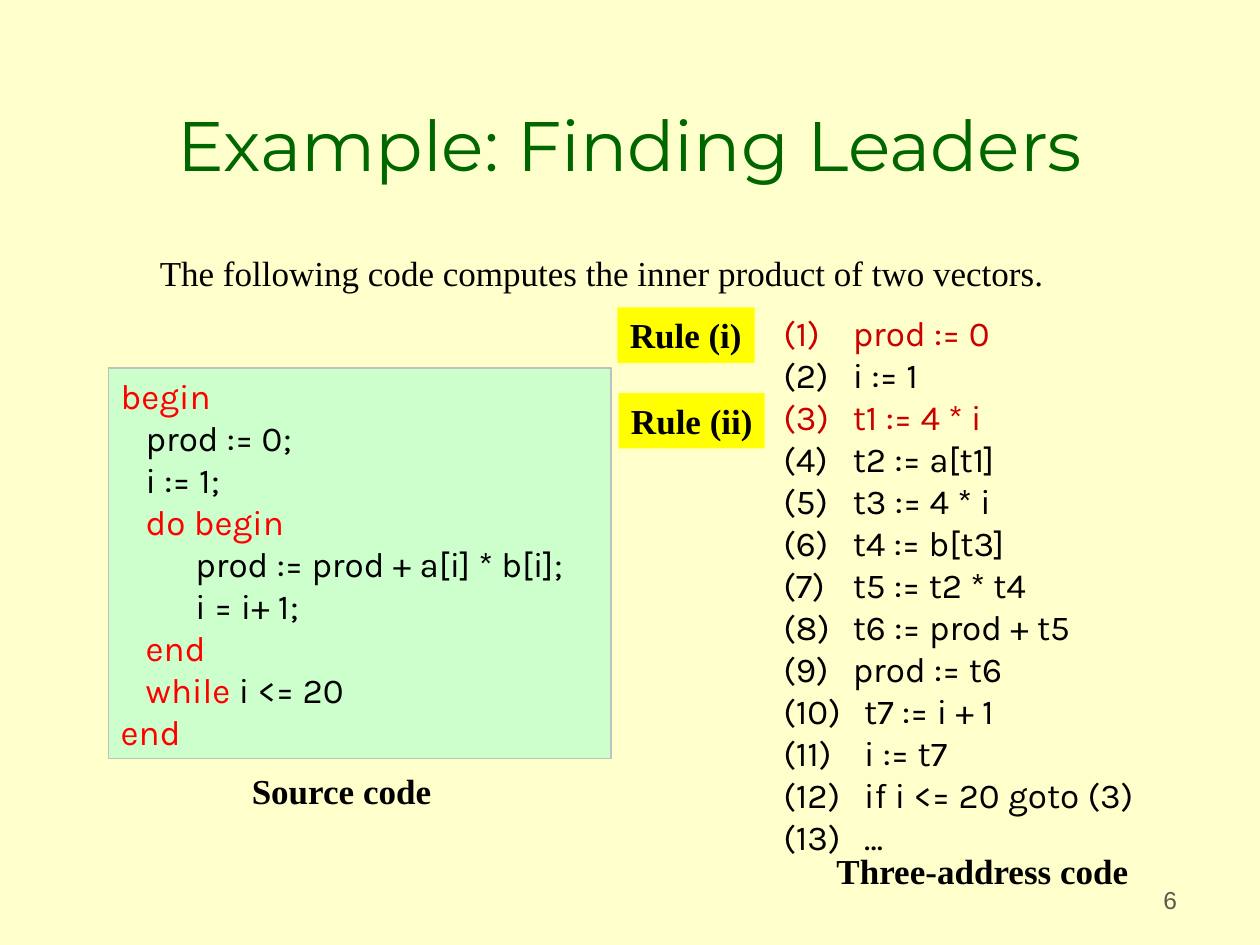
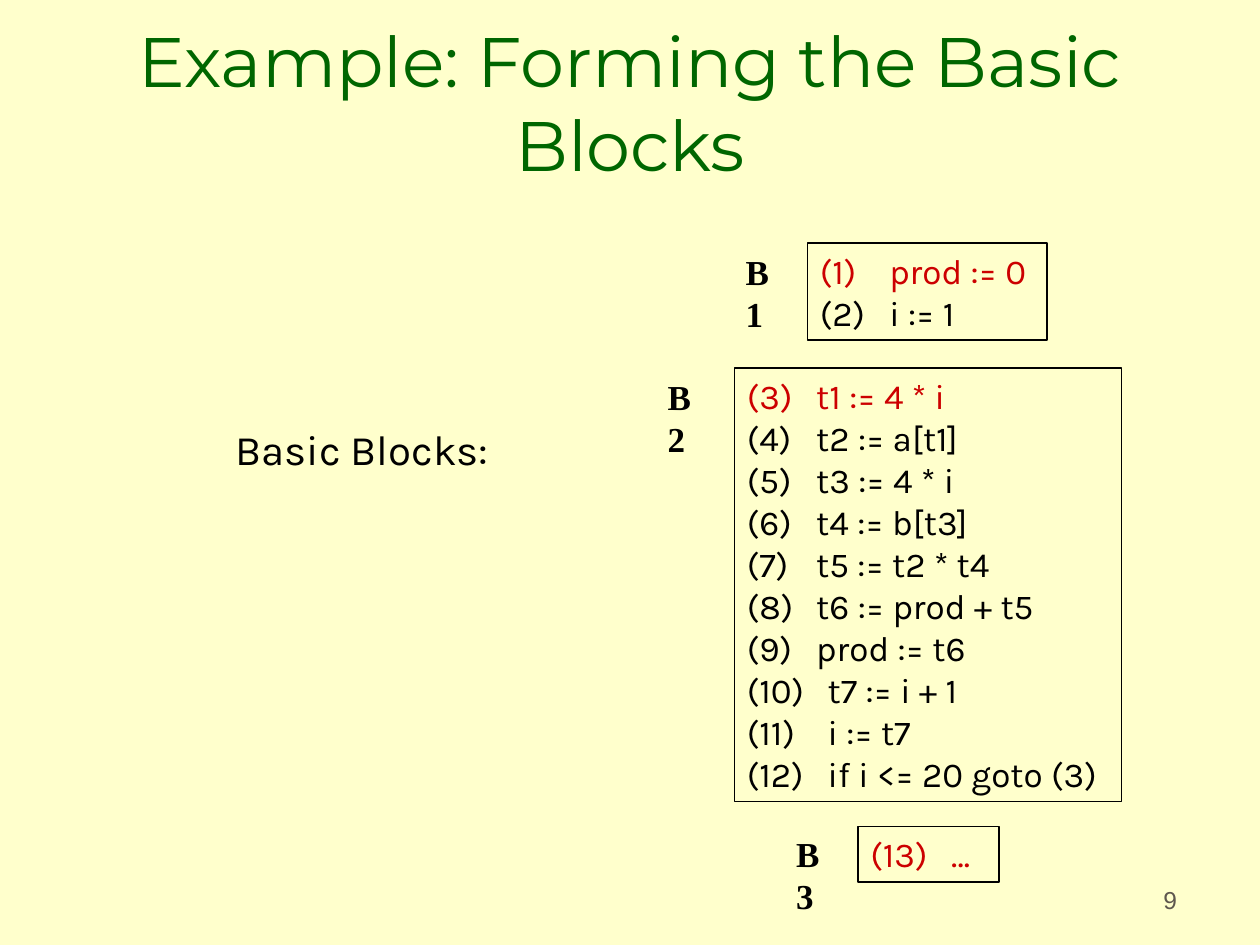
from pptx import Presentation
from pptx.dml.color import RGBColor
from pptx.enum.shapes import MSO_SHAPE
from pptx.enum.text import MSO_ANCHOR, MSO_AUTO_SIZE, PP_ALIGN
from pptx.oxml.ns import qn
from pptx.util import Inches, Pt
from lxml import etree

RECT = MSO_SHAPE.RECTANGLE
TOP, BOTTOM = MSO_ANCHOR.TOP, MSO_ANCHOR.BOTTOM
NO_AUTOFIT = MSO_AUTO_SIZE.NONE
LEFT, CENTER, RIGHT = PP_ALIGN.LEFT, PP_ALIGN.CENTER, PP_ALIGN.RIGHT

TITLE_FONT, CODE_FONT, LABEL_FONT, NUMBER_FONT = "Montserrat", "Karla", "Times New Roman", "Arial"
CREAM, MINT, YELLOW = "FFFFCC", "CCFFCC", "FFFF00"
GREEN, BLACK, GRAY, SILVER = "006600", "000000", "5E574E", "C0C0C0"
LEADER_RED, KEYWORD_RED = "CC0000", "FF0000"

INSTRUCTIONS = [
    "prod := 0", "i := 1", "t1 := 4 * i", "t2 := a[t1]", "t3 := 4 * i",
    "t4 := b[t3]", "t5 := t2 * t4", "t6 := prod + t5", "prod := t6",
    "t7 := i + 1", "i := t7", "if i <= 20 goto (3)", "…",
]
SOURCE_CODE = [
    [("begin", KEYWORD_RED)],
    [("   prod := 0;", BLACK)],
    [("   i := 1;", BLACK)],
    [("   do begin", KEYWORD_RED)],
    [("         prod := prod + a[i] * b[i];", BLACK)],
    [("         i = i+ 1;", BLACK)],
    [("   end", KEYWORD_RED)],
    [("   while", KEYWORD_RED), (" i <= 20", BLACK)],
    [("end", KEYWORD_RED)],
]
BLOCKS = [
    ("B1", 1, 2, (6.41, 1.93, 1.9, 0.77), (5.82, 1.94)),
    ("B2", 3, 12, (5.83, 2.92, 3.07, 3.44), (5.2, 2.93)),
    ("B3", 13, 13, (6.81, 6.56, 1.12, 0.44), (6.22, 6.56)),
]


def rgb(color):
    return RGBColor.from_string(color)


def add_text(p, text, size=20, font=CODE_FONT, color=BLACK, bold=False, align=LEFT):
    p.alignment = align
    r = p.add_run()
    r.text = text
    r.font.size = Pt(size)
    r.font.name = font
    r.font.bold = bold
    r.font.color.rgb = rgb(color)


def add_tab_stop(p, position):
    tabs = etree.SubElement(p._p.get_or_add_pPr(), qn("a:tabLst"))
    etree.SubElement(tabs, qn("a:tab"), pos=str(Inches(position)), algn="l")


def add_label(slide, box, text, anchor=TOP, **fmt):
    tf = slide.shapes.add_textbox(*map(Inches, box)).text_frame
    tf.word_wrap = False
    tf.vertical_anchor = anchor
    add_text(tf.paragraphs[0], text, **fmt)


def add_box(slide, box, fill, line=None):
    sp = slide.shapes.add_shape(RECT, *map(Inches, box))
    sp.shadow.inherit = False
    sp.fill.solid()
    sp.fill.fore_color.rgb = rgb(fill)
    if line:
        sp.line.color.rgb = rgb(line)
        sp.line.width = Pt(0.75)
    else:
        sp.line.fill.background()
    tf = sp.text_frame
    tf.vertical_anchor = TOP
    return tf


def next_paragraph(tf, index):
    return tf.add_paragraph() if index else tf.paragraphs[0]


def add_source_code(slide, box):
    tf = add_box(slide, box, MINT, SILVER)
    tf.word_wrap = True
    for i, parts in enumerate(SOURCE_CODE):
        p = next_paragraph(tf, i)
        for text, color in parts:
            add_text(p, text, color=color)


def add_instructions(slide, box, first, last, leaders, line=None):
    tf = add_box(slide, box, CREAM, line)
    tf.word_wrap = True
    for i, number in enumerate(range(first, last + 1)):
        p = next_paragraph(tf, i)
        add_tab_stop(p, 0.46 + 0.09 * len(str(number)))
        add_text(p, f"({number})\t{INSTRUCTIONS[number - 1]}",
                 color=LEADER_RED if number in leaders else BLACK)


def add_rule(slide, box, text):
    tf = add_box(slide, box, YELLOW)
    tf.word_wrap = False
    add_text(tf.paragraphs[0], text, font=LABEL_FONT, bold=True)


def add_slide(prs, title, number):
    slide = prs.slides.add_slide(prs.slide_layouts[5])
    sp = slide.shapes.title
    sp.left, sp.top, sp.width, sp.height = map(Inches, (0.75, 0.25, 8.5, 1.25))
    tf = sp.text_frame
    tf.auto_size = NO_AUTOFIT
    tf.vertical_anchor = BOTTOM
    tf.margin_bottom = Inches(0.03)
    add_text(tf.paragraphs[0], title, size=40, font=TITLE_FONT, color=GREEN, align=CENTER)
    add_label(slide, (7.36, 6.81, 2.08, 0.5), number, anchor=BOTTOM,
              size=14, font=NUMBER_FONT, color=GRAY, align=RIGHT)
    return slide


def build_leaders(prs):
    slide = add_slide(prs, "Example: Finding Leaders", "6")
    add_label(slide, (1.17, 1.95, 7.27, 0.44),
              "The following code computes the inner product of two vectors.", font=LABEL_FONT)
    add_instructions(slide, (6.12, 2.42, 3.07, 4.44), 1, 13, leaders={1, 3})
    add_label(slide, (1.9, 6.06, 1.63, 0.44), "Source code", font=LABEL_FONT, bold=True)
    add_label(slide, (6.54, 6.69, 2.52, 0.44), "Three-address code", font=LABEL_FONT, bold=True)
    add_rule(slide, (4.9, 2.44, 1.09, 0.44), "Rule (i)")
    add_rule(slide, (4.91, 3.12, 1.16, 0.44), "Rule (ii)")
    add_source_code(slide, (0.86, 2.92, 3.99, 3.1))


def build_blocks(prs):
    slide = add_slide(prs, "Example: Forming the Basic Blocks", "9")
    add_label(slide, (1.77, 3.31, 2.27, 0.5), "Basic Blocks:", size=24)
    for name, first, last, box, label_at in BLOCKS:
        add_instructions(slide, box, first, last, leaders={first}, line=BLACK)
        add_label(slide, (*label_at, 0.52, 0.44), name, font=LABEL_FONT, bold=True)


def main():
    prs = Presentation()
    prs.slide_width, prs.slide_height = Inches(10), Inches(7.5)
    fill = prs.slide_master.background.fill
    fill.solid()
    fill.fore_color.rgb = rgb(CREAM)
    build_leaders(prs)
    build_blocks(prs)
    prs.save("out.pptx")


if __name__ == "__main__":
    main()
